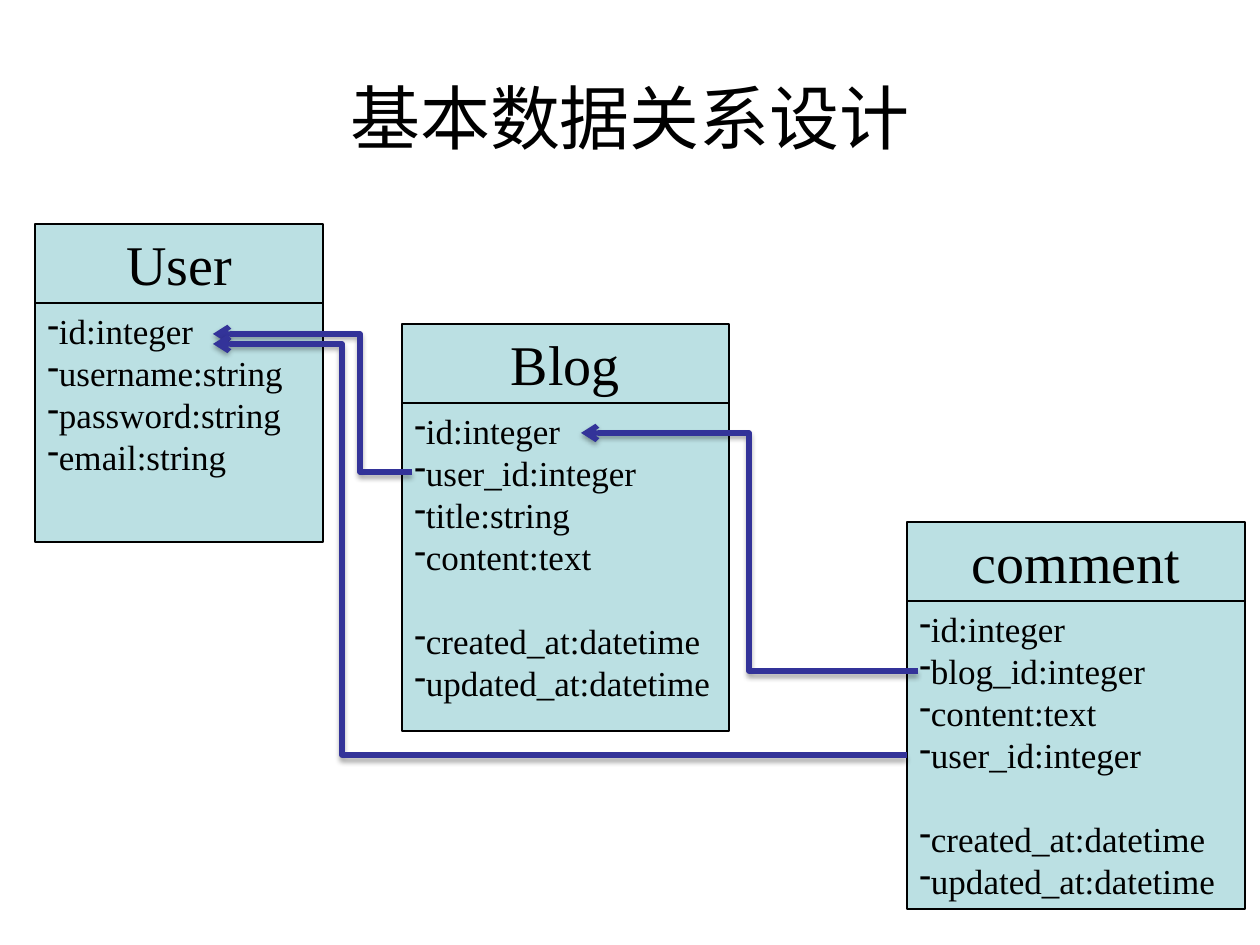
import pptx
import pptx.dml.color
import pptx.enum.shapes
import pptx.enum.text
import pptx.oxml
import pptx.oxml.ns
import pptx.util

TITLE = "基本数据关系设计"
TITLE_BOX = (63, 38, 1134, 157)
HEADER_HEIGHT = 79
GAP = None
TIMESTAMPS = [GAP, "created_at:datetime", "updated_at:datetime"]
ENTITIES = [
    {"name": "User", "left": 35, "top": 224, "width": 288, "height": 318,
     "fields": ["id:integer", "username:string", "password:string", "email:string"]},
    {"name": "Blog", "left": 402, "top": 324, "width": 327, "height": 407,
     "fields": ["id:integer", "user_id:integer", "title:string", "content:text"] + TIMESTAMPS},
    {"name": "comment", "left": 907, "top": 522, "width": 338, "height": 387,
     "fields": ["id:integer", "blog_id:integer", "content:text", "user_id:integer"] + TIMESTAMPS},
]
RELATIONS = [
    {"start": (412, 472), "end": (213, 334), "bend": 360},
    {"start": (918, 671), "end": (581, 433), "bend": 749},
    {"start": (907, 755), "end": (213, 344), "bend": 342},
]
THEME = {
    "text": "000000", "fill": "BBE0E3", "border": "000000", "relation": "333399",
    "title_font": "Arial", "entity_font": "Times New Roman",
    "title_size": 40, "name_size": 32, "field_size": 20, "field_line": 24,
    "border_width": 0.75, "relation_width": 3,
}
EMU_PER_PX = 914400 // 126


def px(*lengths):
    return [pptx.util.Emu(length * EMU_PER_PX) for length in lengths]


def color(role):
    return pptx.dml.color.RGBColor.from_string(THEME[role])


def apply(target, values):
    for attribute, value in values.items():
        setattr(target, attribute, value)


def write(paragraph, text, font, size):
    run = paragraph.add_run()
    run.text = text
    apply(run.font, {"name": THEME[font], "size": pptx.util.Pt(THEME[size])})
    run.font.color.rgb = color("text")


def xml(content):
    return pptx.oxml.parse_xml(content.replace(">", f" {pptx.oxml.ns.nsdecls('a')}>", 1)
                               if "/>" not in content.split(">", 1)[0] + ">"
                               else content.replace("/>", f" {pptx.oxml.ns.nsdecls('a')}/>", 1))


def add_compartment(slide, left, top, width, height, anchor):
    box = slide.shapes.add_shape(pptx.enum.shapes.MSO_SHAPE.RECTANGLE,
                                 *px(left, top, width, height))
    box.shadow.inherit = False
    box.fill.solid()
    box.fill.fore_color.rgb = color("fill")
    box.line.color.rgb = color("border")
    box.line.width = pptx.util.Pt(THEME["border_width"])
    apply(box.text_frame, {"word_wrap": False, "vertical_anchor": anchor})
    return box.text_frame


def add_entity(slide, entity):
    left, top, width = entity["left"], entity["top"], entity["width"]
    header = add_compartment(slide, left, top, width, HEADER_HEIGHT,
                             pptx.enum.text.MSO_ANCHOR.MIDDLE).paragraphs[0]
    header.alignment = pptx.enum.text.PP_ALIGN.CENTER
    write(header, entity["name"], "entity_font", "name_size")
    body = add_compartment(slide, left, top + HEADER_HEIGHT, width,
                           entity["height"] - HEADER_HEIGHT, pptx.enum.text.MSO_ANCHOR.TOP)
    line = pptx.util.Pt(THEME["field_line"])
    fields = entity["fields"]
    for index, field in enumerate(fields):
        if field is GAP:
            continue
        paragraph = body.paragraphs[0] if index == 0 else body.add_paragraph()
        after_gap = index > 0 and fields[index - 1] is GAP
        apply(paragraph, {"alignment": pptx.enum.text.PP_ALIGN.LEFT, "line_spacing": line,
                          "space_before": line if after_gap else pptx.util.Pt(0)})
        write(paragraph, field, "entity_font", "field_size")
        paragraph._p.get_or_add_pPr().append(xml('<a:buChar char="-"/>'))


def add_relation(slide, relation):
    start, end = relation["start"], relation["end"]
    connector = slide.shapes.add_connector(pptx.enum.shapes.MSO_CONNECTOR.ELBOW,
                                           *px(*start, *end))
    connector.line.color.rgb = color("relation")
    connector.line.width = pptx.util.Pt(THEME["relation_width"])
    connector.line._get_or_add_ln().append(xml('<a:tailEnd type="arrow"/>'))
    bend = round(100000 * (start[0] - relation["bend"]) / (start[0] - end[0]))
    properties = connector._element.spPr
    guides = properties.find(pptx.oxml.ns.qn("a:prstGeom")).get_or_add_avLst()
    guides.append(xml(f'<a:gd name="adj1" fmla="val {bend}"/>'))
    properties.append(xml(
        '<a:effectLst><a:outerShdw blurRad="39370" dist="22860" dir="5400000" rotWithShape="0">'
        '<a:srgbClr val="000000"><a:alpha val="35000"/></a:srgbClr></a:outerShdw></a:effectLst>'))


def main():
    deck = pptx.Presentation()
    apply(deck, {"slide_width": pptx.util.Inches(10), "slide_height": pptx.util.Inches(7.5)})
    slide = deck.slides.add_slide(deck.slide_layouts[6])
    heading = slide.shapes.add_textbox(*px(*TITLE_BOX)).text_frame
    apply(heading, {"word_wrap": True, "vertical_anchor": pptx.enum.text.MSO_ANCHOR.MIDDLE})
    heading.paragraphs[0].alignment = pptx.enum.text.PP_ALIGN.CENTER
    write(heading.paragraphs[0], TITLE, "title_font", "title_size")
    for entity in ENTITIES:
        add_entity(slide, entity)
    for relation in RELATIONS:
        add_relation(slide, relation)
    deck.save("out.pptx")


if __name__ == "__main__":
    main()
